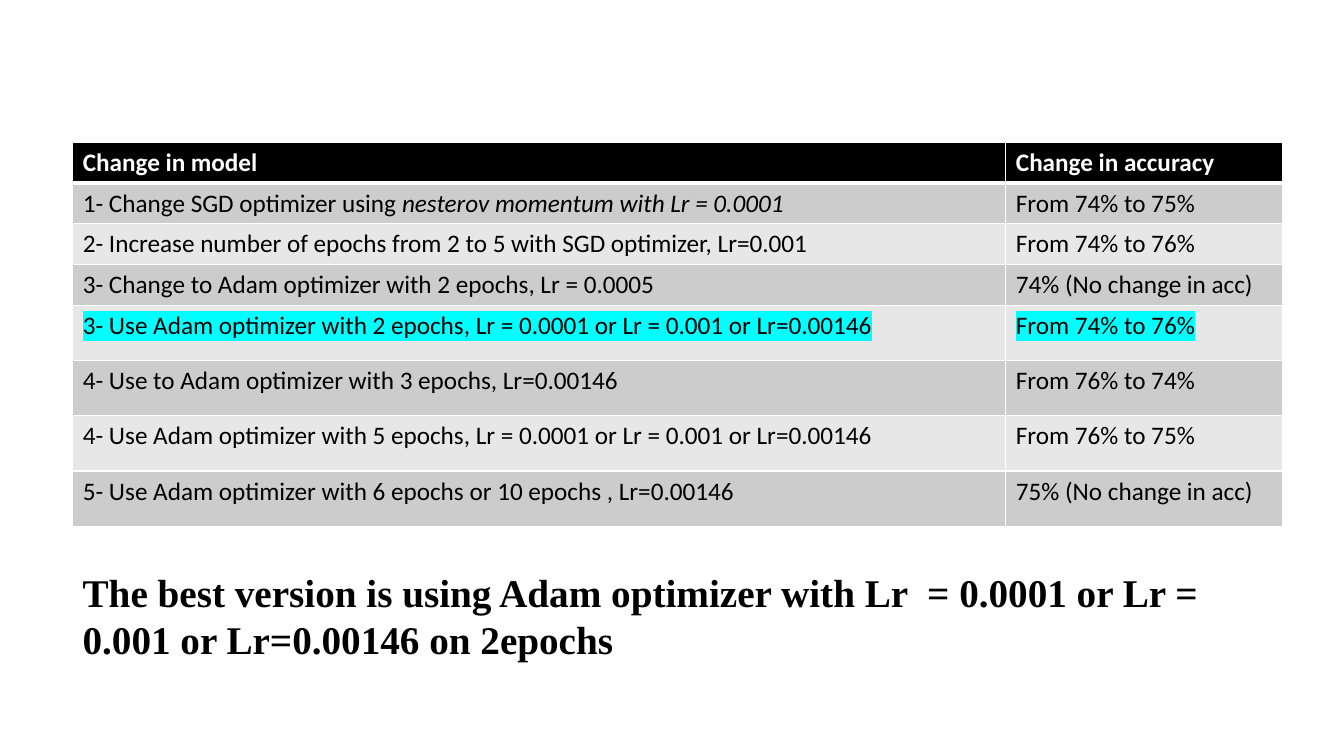
"""Build a slide that lists model changes and their effect on accuracy."""
from lxml.etree import SubElement as Sub
from pptx import Presentation
from pptx.dml.color import RGBColor as RGB
from pptx.oxml.ns import qn
from pptx.util import Pt

BLACK = RGB(0, 0, 0)
WHITE = RGB(255, 255, 255)
DARK = RGB(0xCC, 0xCC, 0xCC)
LIGHT = RGB(0xE7, 0xE7, 0xE7)
CYAN = RGB(0, 255, 255)

LEFT, WIDTH = 52, 864
COLS = [666.5, 197.5]
ROWS = [29.2] * 4 + [39.4] * 4
BEST = 4

HEAD = ("Change in model", "Change in accuracy")
TESTS = [
    ("1- Change SGD optimizer using |nesterov momentum with Lr = 0.0001", "From 74% to 75%"),
    ("2- Increase number of epochs from 2 to 5 with SGD optimizer, Lr=0.001", "From 74% to 76%"),
    ("3- Change to Adam optimizer with 2 epochs, Lr = 0.0005", "74% (No change in acc)"),
    ("3- Use Adam optimizer with 2 epochs, Lr = 0.0001 or Lr = 0.001 or Lr=0.00146", "From 74% to 76%"),
    ("4- Use to Adam optimizer with 3 epochs, Lr=0.00146", "From 76% to 74%"),
    ("4- Use Adam optimizer with 5 epochs, Lr = 0.0001 or Lr = 0.001 or Lr=0.00146", "From 76% to 75%"),
    ("5- Use Adam optimizer with 6 epochs or 10 epochs , Lr=0.00146", "75% (No change in acc)"),
]
CLOSE = "The best version is using Adam optimizer with Lr  = 0.0001 or Lr = 0.001 or Lr=0.00146 on 2epochs"


class Deck:
    def __init__(self):
        self.prs = Presentation()
        self.prs.slide_width, self.prs.slide_height = Pt(960), Pt(540)
        self.slide = self.prs.slides.add_slide(self.prs.slide_layouts[6])

    def label(self, para, text, face, size, color, bold=False, mark=None):
        for i, part in enumerate(text.split("|")):
            run = para.add_run()
            run.text = part
            if i:
                run.font.italic = True
            if mark:
                glow = Sub(run._r.get_or_add_rPr(), qn("a:highlight"))
                Sub(glow, qn("a:srgbClr"), val=str(mark))
        font = para.font
        font.name, font.size, font.bold = face, Pt(size), bold
        font.color.rgb = color

    def edge(self, cell, side, width):
        line = Sub(cell._tc.get_or_add_tcPr(), qn("a:ln" + side), w=str(Pt(width)))
        Sub(Sub(line, qn("a:solidFill")), qn("a:srgbClr"), val=str(WHITE))

    def table(self, top, rows):
        frame = self.slide.shapes.add_table(
            len(rows), len(COLS), Pt(LEFT), Pt(top), Pt(WIDTH), Pt(sum(ROWS)))
        grid = frame.table
        for col, width in zip(grid.columns, COLS):
            col.width = Pt(width)
        for r, (row, high) in enumerate(zip(rows, ROWS)):
            grid.rows[r].height = Pt(high)
            for c, text in enumerate(row):
                self.cell(grid.cell(r, c), r, text)

    def cell(self, cell, r, text):
        head = r == 0
        wide = {"T": 3 if r == 1 else 1, "B": 3 if head else 1}
        for side in "LRTB":
            self.edge(cell, side, wide.get(side, 1))
        cell.fill.solid()
        cell.fill.fore_color.rgb = BLACK if head else DARK if r % 2 else LIGHT
        self.label(cell.text_frame.paragraphs[0], text, "Calibri", 18,
                   WHITE if head else BLACK, head, CYAN if r == BEST else None)

    def note(self, top, high, text):
        box = self.slide.shapes.add_textbox(Pt(LEFT), Pt(top), Pt(WIDTH), Pt(high))
        box.text_frame.word_wrap = True
        self.label(box.text_frame.paragraphs[0], text, "Times New Roman", 28, BLACK, True)


def main():
    deck = Deck()
    deck.table(101.5, [HEAD] + TESTS)
    deck.note(402.5, 75, CLOSE)
    deck.prs.save("out.pptx")


if __name__ == "__main__":
    main()
